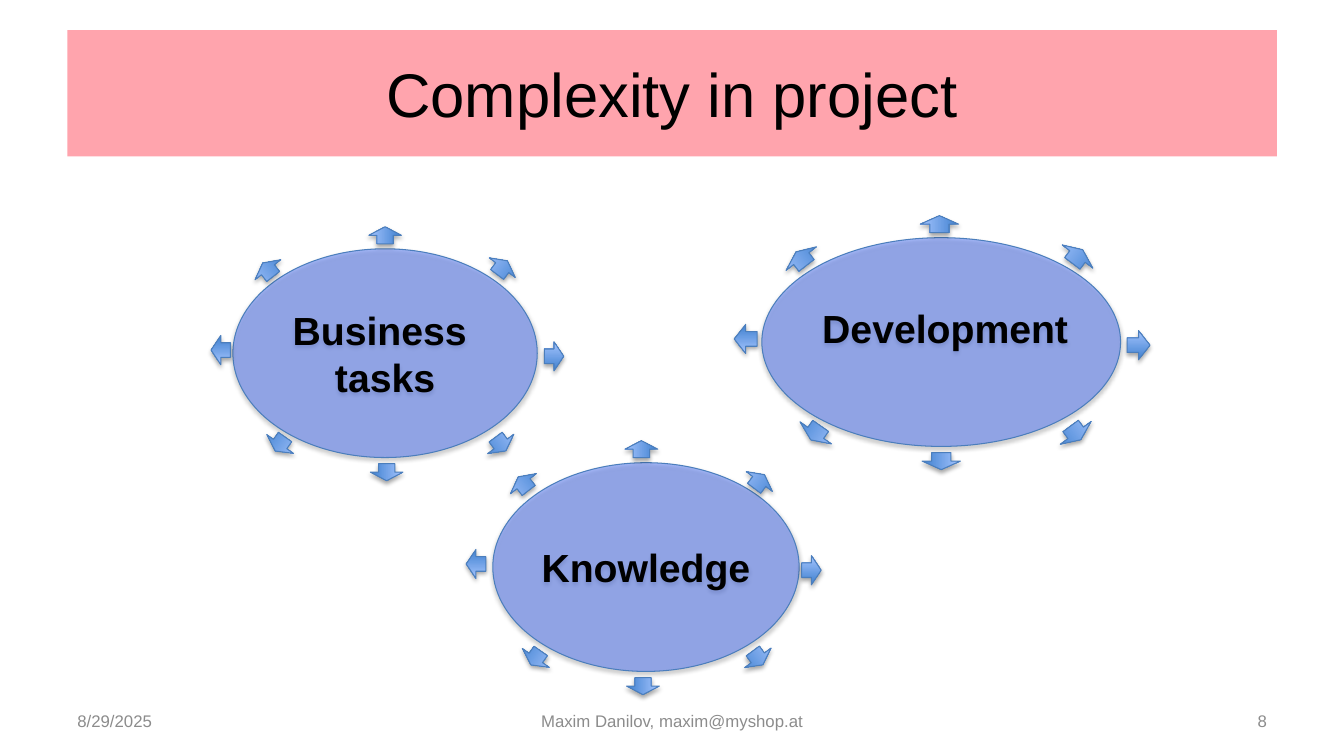
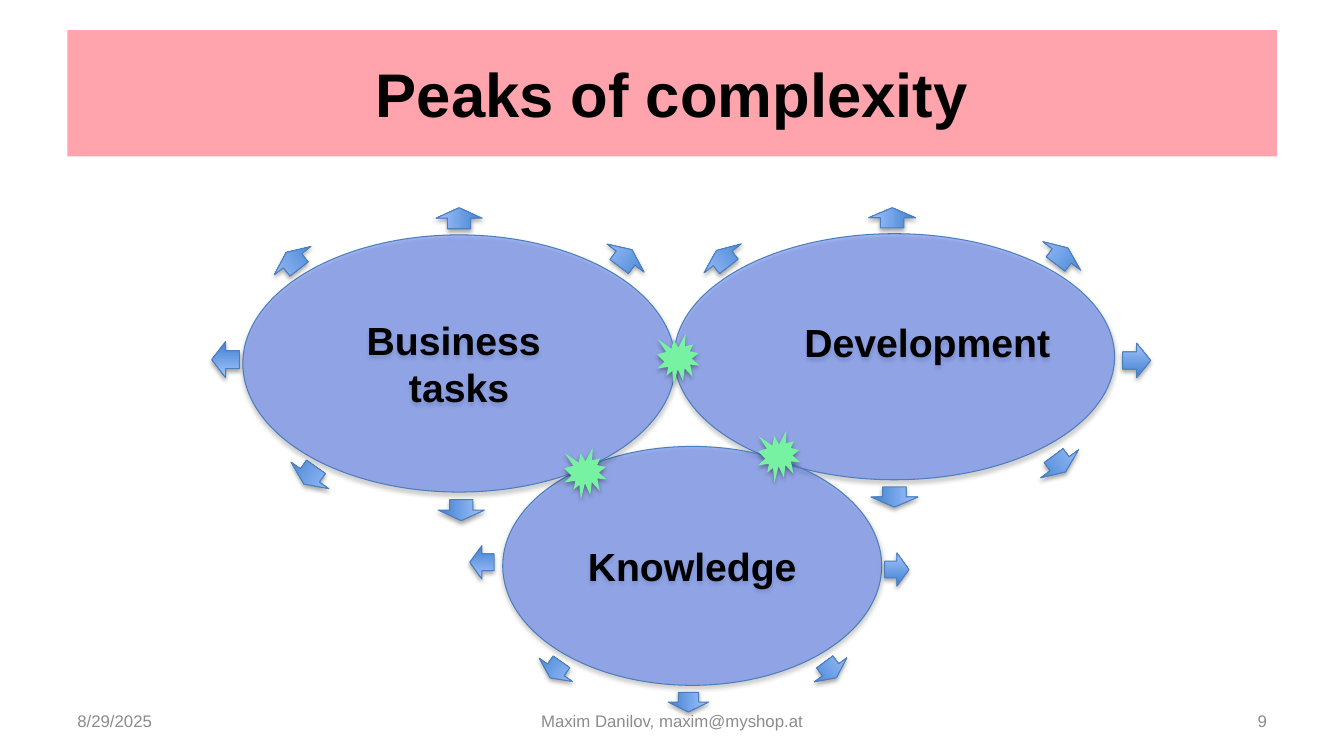
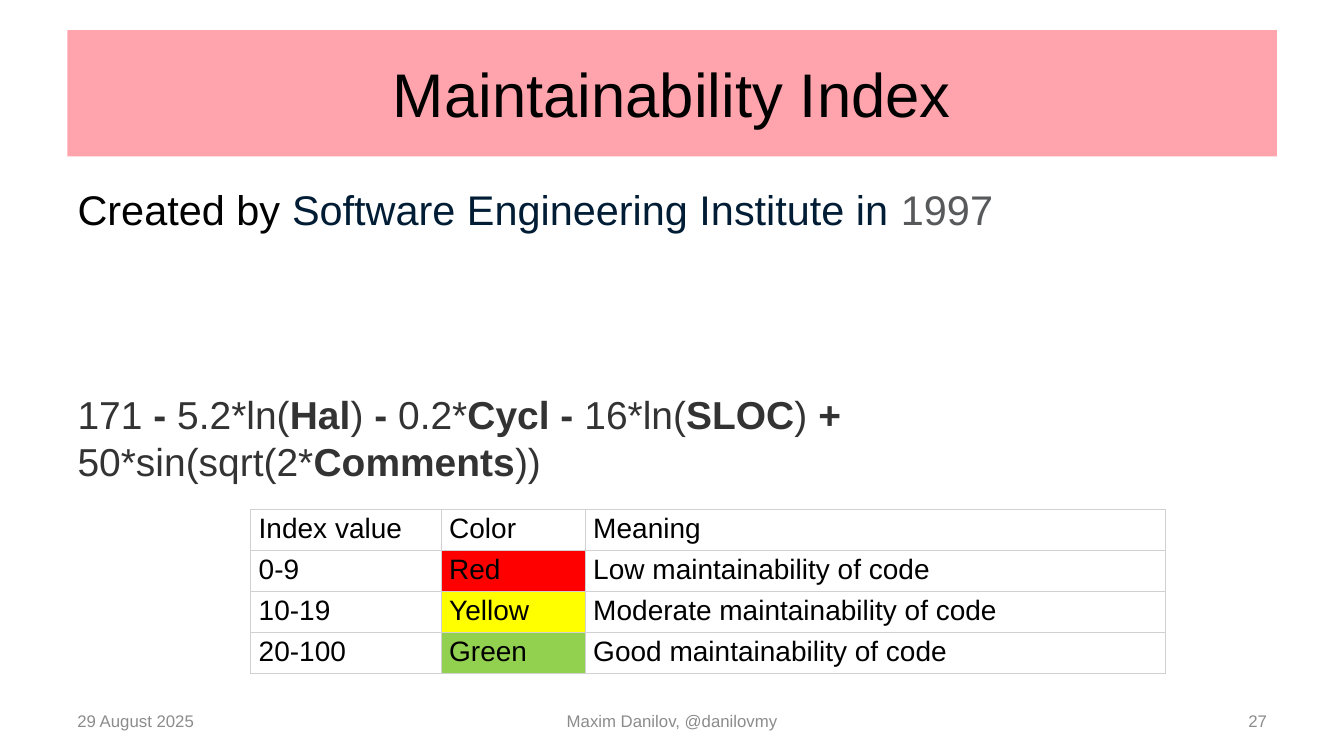
from lxml import etree
from pptx import Presentation
from pptx import util as u
from pptx.dml.color import RGBColor
from pptx.enum import shapes, text
from pptx.oxml import ns

ALIGN = text.PP_ALIGN
MIDDLE = text.MSO_ANCHOR.MIDDLE
PRESET = shapes.MSO_SHAPE

# Direction: (x, y) in half-widths and half-heights of the oval, rotation.
ARROWS = {
    "N": (-0.01, -1.13, 270),
    "S": (0, 1.14, 90),
    "W": (-1.09, -0.03, 180),
    "E": (1.1, 0.03, 0),
    "NE": (0.76, -0.82, 307.1),
    "SW": (-0.7, 0.87, 125.1),
    "NW": (-0.78, -0.8, 232.2),
    "SE": (0.75, 0.87, 53.5),
}

# Topic: lines, alignment, bottom inset in cm, sideways lean of its arrows.
TOPICS = {
    "development": (["Development"], ALIGN.RIGHT, 0.73, 0),
    "knowledge": (["Knowledge"], ALIGN.CENTER, 0, -0.02),
    "business": (["Business ", "tasks"], ALIGN.CENTER, 0, 0.01),
}


def rgb(hex_code):
    return RGBColor.from_string(hex_code)


def cm(*lengths):
    return [u.Cm(length) for length in lengths]


def add_xml(parent, tag, **attributes):
    return etree.SubElement(parent, ns.qn(tag), attributes)


class Deck:
    FONT = "Arial"
    BLACK, WHITE, GREY = "000000", "FFFFFF", "8C8C8C"
    BAND, OVAL, OUTLINE = "FFA4AD", "5076F6", "4B7EBC"
    ARROW_STOPS = ("3F80CE", "A4C4FF")
    PEAK, GRID = "77F1A2", "D1D1D1"

    def __init__(self):
        self.prs = Presentation()
        self.prs.slide_width, self.prs.slide_height = cm(33.87, 19.05)
        self.slide = None

    def run(self, paragraph, words, size, color=BLACK, bold=False):
        run = paragraph.add_run()
        run.text = words
        font = run.font
        font.name, font.size, font.bold = self.FONT, u.Pt(size), bold
        font.color.rgb = rgb(color)

    def place(self, shape, *box):
        shape.left, shape.top, shape.width, shape.height = cm(*box)

    def new_slide(self, title, footers, layout="Title Only", bold=False):
        self.slide = self.prs.slides.add_slide(
            self.prs.slide_layouts.get_by_name(layout))
        band = self.slide.shapes.title
        self.place(band, 1.7, 0.76, 30.48, 3.18)
        band.fill.solid()
        band.fill.fore_color.rgb = rgb(self.BAND)
        frame = band.text_frame
        frame.auto_size = text.MSO_AUTO_SIZE.NONE
        frame.vertical_anchor = MIDDLE
        frame.paragraphs[0].alignment = ALIGN.CENTER
        self.run(frame.paragraphs[0], title, 44, bold=bold)
        slots = ((1.7, 7.9, ALIGN.LEFT), (11.58, 10.72, ALIGN.CENTER),
                 (24.28, 7.9, ALIGN.RIGHT))
        for words, (left, width, align) in zip(footers, slots):
            self.footer(words, left, width, align)

    def footer(self, words, left, width, align):
        frame = self.slide.shapes.add_textbox(
            *cm(left, 17.65, width, 1.02)).text_frame
        frame.word_wrap = True
        frame.vertical_anchor = MIDDLE
        frame.paragraphs[0].alignment = align
        self.run(frame.paragraphs[0], words, 12, self.GREY)

    def figure(self, preset, box, fill=None):
        """Add a shadowed shape; without a fill colour it gets the arrow gradient."""
        shape = self.slide.shapes.add_shape(preset, *cm(*box))
        if fill:
            shape.fill.solid()
            shape.fill.fore_color.rgb = rgb(fill)
        else:
            shape.fill.gradient()
            shape.fill.gradient_angle = 90
            for stop, color in zip(shape.fill.gradient_stops, self.ARROW_STOPS):
                stop.color.rgb = rgb(color)
        shape.line.color.rgb = rgb(self.OUTLINE)
        shape.line.width = u.Pt(0.75)
        shape.shadow.inherit = False
        effects = shape._element.spPr.find(ns.qn("a:effectLst"))
        shadow = add_xml(effects, "a:outerShdw", blurRad="40000", dist="23000",
                         dir="5400000", rotWithShape="0")
        add_xml(add_xml(shadow, "a:srgbClr", val=self.BLACK), "a:alpha", val="35000")
        return shape

    def topic(self, name, box, hidden=()):
        """Add a topic oval and its outward arrows, except the hidden directions."""
        lines, align, bottom, lean = TOPICS[name]
        oval = self.figure(PRESET.OVAL, box, self.OVAL)
        color = oval._element.spPr.find(ns.qn("a:solidFill"))[0]
        add_xml(color, "a:alpha", val="50000")
        frame = oval.text_frame
        frame.margin_left = frame.margin_right = frame.margin_top = 0
        frame.margin_bottom = u.Cm(bottom)
        frame.vertical_anchor = MIDDLE
        for index, line in enumerate(lines):
            paragraph = frame.add_paragraph() if index else frame.paragraphs[0]
            paragraph.alignment = align
            self.run(paragraph, line, 28, bold=True)

        left, top, width, height = box
        for direction, (x, y, angle) in ARROWS.items():
            if direction in hidden:
                continue
            if direction in ("E", "W"):
                length, breadth = 0.064 * width, 0.14 * height
            else:
                length, breadth = 0.082 * height, 0.107 * width
            center_x = left + width / 2 * (1 + x + lean)
            center_y = top + height / 2 * (1 + y)
            arrow = self.figure(PRESET.RIGHT_ARROW, (
                center_x - length / 2, center_y - breadth / 2, length, breadth))
            arrow.rotation = angle

    def peak(self, left, top):
        burst = self.figure(PRESET.EXPLOSION1, (left, top, 1.07, 1.3), self.PEAK)
        burst.line.fill.background()

    def body(self, paragraphs):
        """Fill the body with (space before, size, [(words, colour, bold)])."""
        holder = self.slide.placeholders[1]
        self.place(holder, 1.7, 4.52, 30.48, 12.5)
        frame = holder.text_frame
        frame.auto_size = text.MSO_AUTO_SIZE.NONE
        for index, (before, size, runs) in enumerate(paragraphs):
            paragraph = frame.add_paragraph() if index else frame.paragraphs[0]
            properties = paragraph._p.get_or_add_pPr()
            properties.set("marL", "0")
            properties.set("indent", "0")
            add_xml(properties, "a:buNone")
            paragraph.space_before = u.Pt(before)
            for words, color, bold in runs:
                self.run(paragraph, words, size, color, bold)

    def table(self, left, top, widths, row_height, rows, fills):
        """Add a ruled table; fills maps a cell's text to its colour."""
        grid = self.slide.shapes.add_table(
            len(rows), len(widths),
            *cm(left, top, sum(widths), row_height * len(rows))).table
        grid.first_row = grid.horz_banding = False
        for column, width in zip(grid.columns, widths):
            column.width = u.Cm(width)
        for r, row in enumerate(rows):
            grid.rows[r].height = u.Cm(row_height)
            for c, words in enumerate(row):
                cell = grid.cell(r, c)
                cell.margin_left = cell.margin_right = u.Cm(0.2)
                cell.margin_top = cell.margin_bottom = u.Cm(0.09)
                self.run(cell.text_frame.paragraphs[0], words, 20)
                self.rule(cell)
                cell.fill.solid()
                cell.fill.fore_color.rgb = rgb(fills.get(words, self.WHITE))

    def rule(self, cell):
        properties = cell._tc.get_or_add_tcPr()
        for side in "LRTB":
            line = add_xml(properties, "a:ln" + side, w=str(u.Pt(0.75)))
            add_xml(add_xml(line, "a:solidFill"), "a:srgbClr", val=self.GRID)


def main():
    deck = Deck()
    date, author = "8/29/2025", "Maxim Danilov, maxim@myshop.at"

    deck.new_slide("Complexity in project", (date, author, "8"))
    deck.topic("development", (19.2, 5.99, 9.04, 5.26))
    deck.topic("knowledge", (12.42, 11.66, 7.72, 5.26))
    deck.topic("business", (5.87, 6.27, 7.67, 5.26))

    deck.new_slide("Peaks of complexity", (date, author, "9"), bold=True)
    deck.topic("development", (16.99, 5.89, 11.1, 6.2), hidden=("W", "SW"))
    deck.topic("knowledge", (12.67, 11.25, 9.55, 6.02), hidden=("N", "NE", "NW"))
    deck.topic("business", (6.12, 5.92, 10.9, 6.48), hidden=("E", "SE"))
    for left, top in ((16.56, 8.41), (14.22, 11.28), (19.1, 10.85)):
        deck.peak(left, top)

    deck.new_slide("Maintainability Index",
                   ("29 August 2025", "Maxim Danilov, @danilovmy", "27"),
                   layout="Title and Content")
    formula = ("171 ", "-", " 5.2*ln(", "Hal", ") ", "- ", "0.2*", "Cycl - ",
               "16*ln(", "SLOC", ") ", "+ ", "50*sin(sqrt(2*", "Comments", "))")
    deck.body([
        (0, 29.6, [("Created by ", deck.BLACK, False),
                   ("Software Engineering Institute in ", "001D35", False),
                   ("1997", "58595B", False)]),
        (112, 27.8, [(term, "333333", index % 2 == 1)
                     for index, term in enumerate(formula)]),
    ])
    deck.table(6.32, 12.85, (4.8, 3.63, 14.63), 0.99, (
        ("Index value", "Color", "Meaning"),
        ("0-9", "Red", "Low maintainability of code"),
        ("10-19", "Yellow", "Moderate maintainability of code"),
        ("20-100", "Green", "Good maintainability of code"),
    ), {"Red": "FF0000", "Yellow": "FFFF00", "Green": "92D050"})

    deck.prs.save("out.pptx")


if __name__ == "__main__":
    main()
